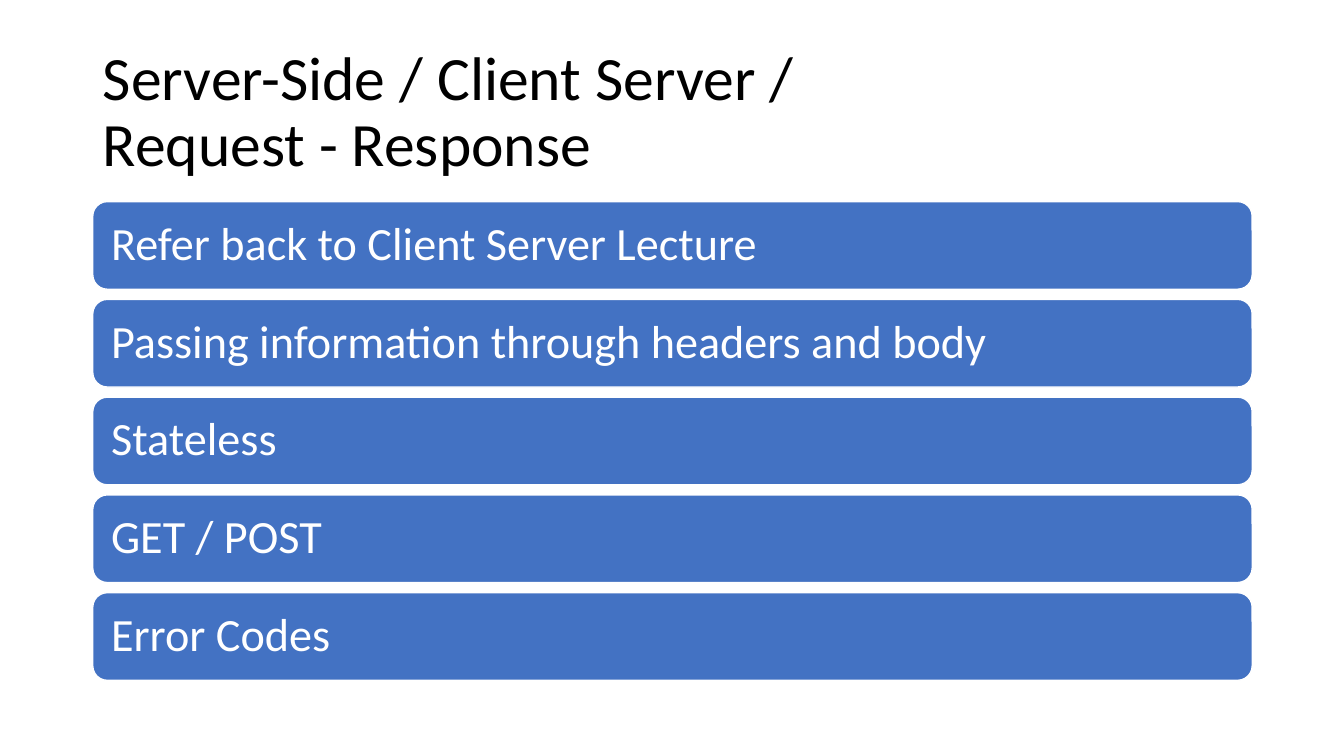
from pptx import Presentation
from pptx.dml.color import RGBColor
from pptx.enum.shapes import MSO_SHAPE
from pptx.enum.text import MSO_ANCHOR, MSO_AUTO_SIZE, PP_ALIGN
from pptx.util import Inches, Pt

COLORS = {"bar": "4372C3", "white": "FFFFFF", "black": "000000"}
TOPICS = [
    "Refer back to Client Server Lecture",
    "Passing information through headers and body",
    "Stateless",
    "GET / POST",
    "Error Codes",
]
LEFT, WIDTH = 0.92, 11.5
BAR_TOP, BAR_HEIGHT, BAR_STEP = 2, 0.87, 0.97


def set_text(tf, text, size, color):
    tf.text = text
    tf.word_wrap = True
    tf.auto_size = MSO_AUTO_SIZE.NONE
    tf.vertical_anchor = MSO_ANCHOR.MIDDLE
    p = tf.paragraphs[0]
    p.alignment = PP_ALIGN.LEFT
    p.line_spacing = 0.9
    for r in p.runs:
        r.font.name = "Calibri"
        r.font.size = Pt(size)
        r.font.color.rgb = RGBColor.from_string(COLORS[color])


prs = Presentation()
prs.slide_width, prs.slide_height = Inches(13.33), Inches(7.5)
s = prs.slides.add_slide(prs.slide_layouts[5])

# Title
title = s.shapes.title
title.left, title.top = Inches(LEFT), Inches(0.4)
title.width, title.height = Inches(WIDTH), Inches(1.45)
set_text(title.text_frame, "Server-Side / Client Server / \vRequest - Response", 44, "black")

# Topic bars
for i, topic in enumerate(TOPICS):
    sp = s.shapes.add_shape(
        MSO_SHAPE.ROUNDED_RECTANGLE,
        Inches(LEFT), Inches(BAR_TOP + i * BAR_STEP), Inches(WIDTH), Inches(BAR_HEIGHT),
    )
    sp.shadow.inherit = False
    sp.fill.solid()
    sp.fill.fore_color.rgb = RGBColor.from_string(COLORS["bar"])
    sp.line.color.rgb = RGBColor.from_string(COLORS["white"])
    sp.line.width = Pt(1)
    tf = sp.text_frame
    tf.margin_left = tf.margin_right = tf.margin_top = tf.margin_bottom = Inches(0.14)
    set_text(tf, topic, 33, "white")

prs.save("out.pptx")
